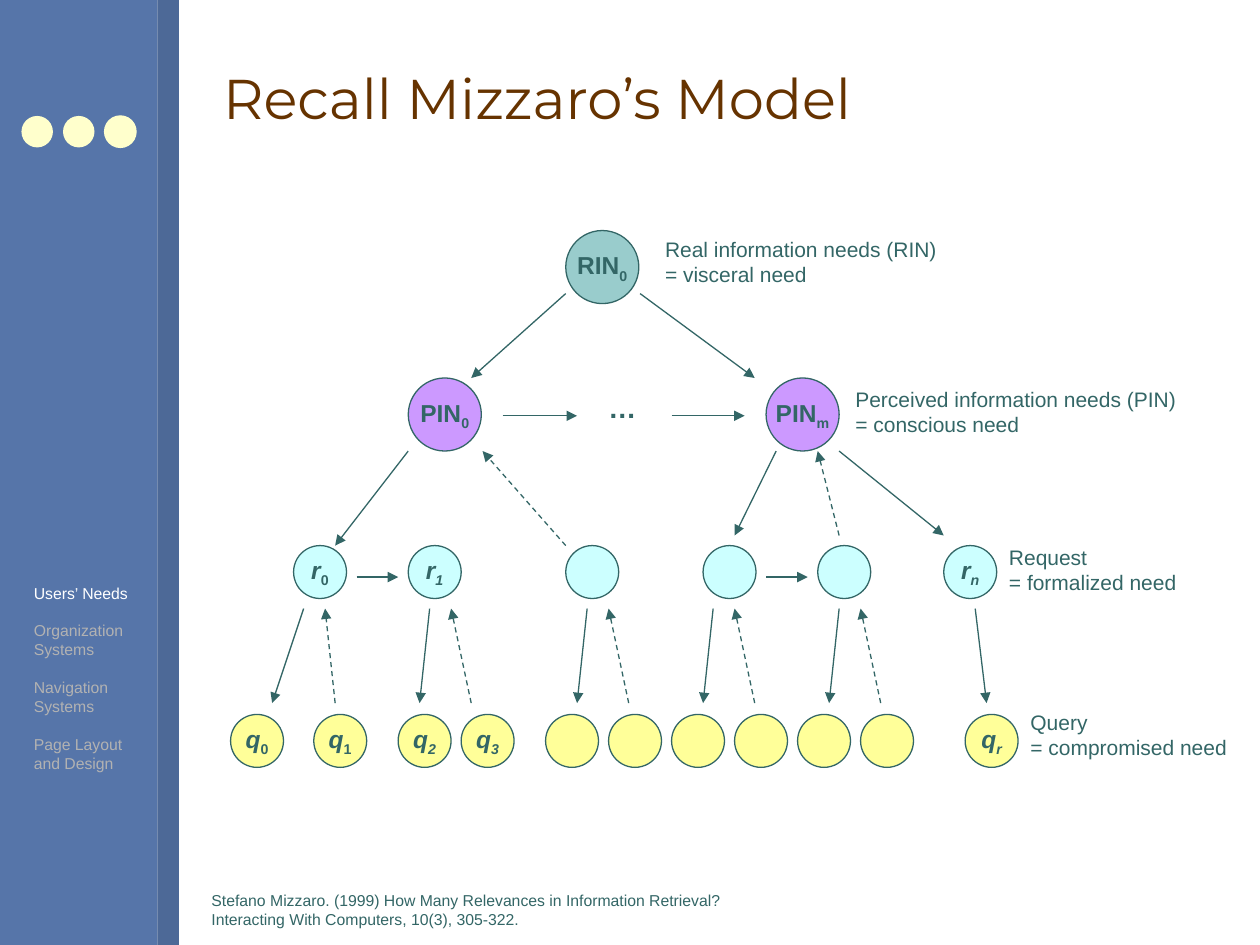
from lxml import etree
from pptx import Presentation
from pptx.dml.color import RGBColor
from pptx.enum import dml, shapes, text
from pptx.oxml.ns import qn
from pptx.util import Inches, Pt

BLUE = RGBColor(0x56, 0x75, 0xA9)
DARK_BLUE = RGBColor(0x4D, 0x69, 0x97)
CREAM = RGBColor(0xFF, 0xFF, 0xCC)
BROWN = RGBColor(0x66, 0x33, 0x00)
TEAL = RGBColor(0x33, 0x66, 0x66)
LIGHT_TEAL = RGBColor(0x99, 0xCC, 0xCC)
PURPLE = RGBColor(0xCC, 0x99, 0xFF)
CYAN = RGBColor(0xCC, 0xFF, 0xFF)
YELLOW = RGBColor(0xFF, 0xFF, 0x99)
WHITE = RGBColor(0xFF, 0xFF, 0xFF)
GRAY = RGBColor(0xB2, 0xB2, 0xB2)

BIG, SMALL = 0.58, 0.42
ROW_Y = (0, 1.17, 2.5, 3.84)


def add_run(p, content, size, color, font="Arial", bold=False, italic=False):
    """Add one formatted run to a paragraph."""
    r = p.add_run()
    r.text = content
    r.font.size, r.font.name = Pt(size), font
    r.font.bold, r.font.italic = bold, italic
    r.font.color.rgb = color
    return r


def add_figure(s, kind, box, fill, line=None):
    """Add a flat filled shape, outlined if a line colour is given."""
    sp = s.shapes.add_shape(kind, *map(Inches, box))
    sp.shadow.inherit = False
    sp.fill.solid()
    sp.fill.fore_color.rgb = fill
    if line is None:
        sp.line.fill.background()
    else:
        sp.line.color.rgb = line
        sp.line.width = Pt(0.75)
    return sp


def add_text(s, box, paragraphs, size, color=TEAL, bold=False, wrap=False, gap=0):
    """Add a text box; a newline inside a paragraph becomes a line break."""
    tf = s.shapes.add_textbox(*map(Inches, box)).text_frame
    tf.word_wrap = wrap
    for i, content in enumerate(paragraphs):
        p = tf.add_paragraph() if i else tf.paragraphs[0]
        if i and gap:
            p.space_before = Pt(gap)
        for j, line in enumerate(content.split("\n")):
            if j:
                p.add_line_break()
            add_run(p, line, size, color, bold=bold)
    return tf


def add_node(s, x, y, size, fill, label):
    """Add a tree node; label is (name, subscript, name italic, subscript italic)."""
    sp = add_figure(s, shapes.MSO_SHAPE.OVAL, (x, y, size, size), fill, TEAL)
    if label:
        name, sub, name_italic, sub_italic = label
        tf = sp.text_frame
        tf.word_wrap = False
        tf.vertical_anchor = text.MSO_ANCHOR.MIDDLE
        p = tf.paragraphs[0]
        p.alignment = text.PP_ALIGN.CENTER
        add_run(p, name, 14, TEAL, bold=True, italic=name_italic)
        r = add_run(p, sub, 14, TEAL, bold=True, italic=sub_italic)
        r.font._element.set("baseline", "-25000")


def add_arrow(s, x1, y1, x2, y2, dashed=False):
    """Add a straight arrow, dashed for feedback."""
    c = s.shapes.add_connector(shapes.MSO_CONNECTOR.STRAIGHT, *map(Inches, (x1, y1, x2, y2)))
    c.line.color.rgb = TEAL
    c.line.width = Pt(0.75)
    if dashed:
        c.line.dash_style = dml.MSO_LINE.DASH
    etree.SubElement(c.line._get_or_add_ln(), qn("a:tailEnd"), type="triangle")
    etree.SubElement(c._element.spPr, qn("a:effectLst"))


def build_sidebar(s, x, y, w, h):
    """Place the side bands, the dots and the section list."""
    edge = x + w - 0.17
    add_figure(s, shapes.MSO_SHAPE.RECTANGLE, (x, y, w - 0.17, h), BLUE)
    add_figure(s, shapes.MSO_SHAPE.RECTANGLE, (edge, y, 0.17, h), DARK_BLUE)
    for i in range(3):
        outline = CREAM if i == 2 else None
        add_figure(s, shapes.MSO_SHAPE.OVAL, (x + 0.17 + 0.33 * i, y + 0.92, 0.25, 0.25), CREAM, outline)
    sections = ["Users’ Needs", "Organization\nSystems", "Navigation\nSystems", "Page Layout\nand Design"]
    tf = add_text(s, (x + 0.17, y + 4.58, 0.95, 1.61), sections, 9, GRAY, gap=10.8)
    tf.paragraphs[0].runs[0].font.color.rgb = WHITE


def build_title(s, x, y, w, h):
    """Move and format the title placeholder."""
    sp = s.shapes.title
    sp.left, sp.top, sp.width, sp.height = map(Inches, (x, y, w, h))
    tf = sp.text_frame
    tf.vertical_anchor = text.MSO_ANCHOR.MIDDLE
    p = tf.paragraphs[0]
    p.alignment = text.PP_ALIGN.LEFT
    add_run(p, "Recall Mizzaro’s Model", 32, BROWN, "Montserrat")


def build_nodes(s, x, y):
    """Place the four rows of nodes."""
    rows = [
        (BIG, LIGHT_TEAL, [2.66], {0: ("RIN", "0", False, False)}),
        (BIG, PURPLE, [1.41, 4.25], {0: ("PIN", "0", False, False), 1: ("PIN", "m", False, False)}),
        (SMALL, CYAN, [0.5, 1.41, 2.66, 3.75, 4.66, 5.66],
         {0: ("r", "0", True, False), 1: ("r", "1", True, True), 5: ("r", "n", True, True)}),
        (SMALL, YELLOW, [0, 0.66, 1.33, 1.83] + [2.5 + 0.5 * i for i in range(6)] + [5.83],
         {0: ("q", "0", True, False), 1: ("q", "1", True, False), 2: ("q", "2", True, True),
          3: ("q", "3", True, True), 10: ("q", "r", True, True)}),
    ]
    for top, (size, fill, lefts, labels) in zip(ROW_Y, rows):
        for i, left in enumerate(lefts):
            add_node(s, x + left, y + top, size, fill, labels.get(i))


def build_arrows(s, x, y):
    """Place the solid arrows and the dashed feedback arrows."""
    solid = [
        (2.66, 0.5, 1.91, 1.17), (3.25, 0.5, 4.16, 1.17),
        (2.16, 1.47, 2.75, 1.47), (3.5, 1.47, 4.08, 1.47),
        (1.41, 1.75, 0.83, 2.5), (4.33, 1.75, 4, 2.42), (4.83, 1.75, 5.66, 2.42),
        (1, 2.75, 1.33, 2.75), (4.25, 2.75, 4.58, 2.75),
        (0.58, 3, 0.33, 3.75), (5.91, 3, 6, 3.75),
    ]
    dashed = [(2.66, 2.5, 2, 1.75), (4.83, 2.42, 4.66, 1.75), (0.83, 3.75, 0.75, 3)]
    for start in (1.58, 2.83, 3.83, 4.83):
        solid.append((start, 3, start - 0.08, 3.75))
        dashed.append((start + 0.33, 3.75, start + 0.17, 3))
    for arrows, is_dashed in ((solid, False), (dashed, True)):
        for x1, y1, x2, y2 in arrows:
            add_arrow(s, x + x1, y + y1, x + x2, y + y2, is_dashed)


def build_tree(s, x, y):
    """Place the tree of needs with its row captions."""
    build_nodes(s, x, y)
    build_arrows(s, x, y)
    add_text(s, (x + 2.9, y + 1.22, 0.42, 0.37), ["…"], 16, bold=True)
    captions = [
        (3.35, 0, 2.4, "Real information needs (RIN)", "= visceral need"),
        (4.86, 1.19, 2.79, "Perceived information needs (PIN)", "= conscious need"),
        (6.08, 2.44, 1.53, "Request", "= formalized need"),
        (6.25, 3.75, 1.76, "Query", "= compromised need"),
    ]
    for left, top, width, *lines in captions:
        add_text(s, (x + left, y + top, width, 0.5), lines, 12)


def build_citation(s, x, y, w, h):
    """Place the citation at the foot."""
    citation = ("Stefano Mizzaro. (1999) How Many Relevances in Information Retrieval? "
                "Interacting With Computers, 10(3), 305-322.")
    add_text(s, (x, y, w, h), [citation], 9, wrap=True)


def main():
    """Build the slide and save it."""
    prs = Presentation()
    prs.slide_width, prs.slide_height = Inches(10), Inches(7.5)
    s = prs.slides.add_slide(prs.slide_layouts[5])
    build_sidebar(s, 0, 0, 1.42, 7.5)
    build_title(s, 1.67, 0.21, 8, 1.13)
    build_tree(s, 1.83, 1.83)
    build_citation(s, 1.58, 7.02, 4.25, 0.4)
    prs.save("out.pptx")


if __name__ == "__main__":
    main()
